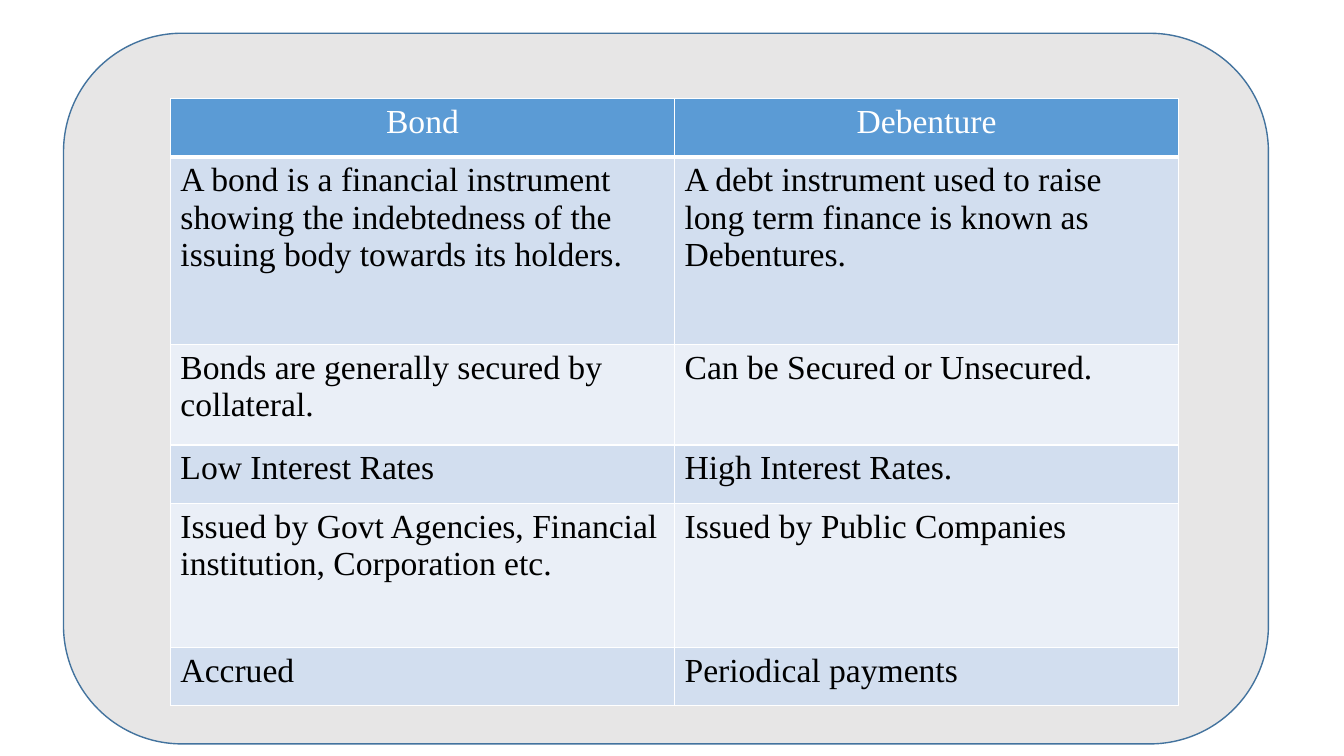
from dataclasses import dataclass

from lxml import etree
from pptx import Presentation
from pptx import util as u
from pptx.dml.color import RGBColor
from pptx.enum import shapes, text
from pptx.oxml import ns


@dataclass(frozen=True)
class Theme:
    font: str = "Times New Roman"
    size: int = 24
    panel: str = "E7E6E6"
    outline: str = "43739E"
    header: str = "5B9BD5"
    bands: tuple = ("D2DEEF", "EAEFF7")
    light: str = "FFFFFF"
    dark: str = "000000"
    rule: int = 1
    header_rule: int = 3


class SlideBuilder:
    """Draws on one slide; lengths are percentages of its size."""

    def __init__(self, presentation, theme):
        self.theme = theme
        self.width = presentation.slide_width
        self.height = presentation.slide_height
        self.slide = presentation.slides.add_slide(presentation.slide_layouts[6])

    def x(self, share):
        return round(self.width * share / 100)

    def y(self, share):
        return round(self.height * share / 100)

    def box(self, left, top, width, height):
        return self.x(left), self.y(top), self.x(width), self.y(height)

    def panel(self, *place):
        shape = self.slide.shapes.add_shape(
            shapes.MSO_SHAPE.ROUNDED_RECTANGLE, *self.box(*place))
        shape.shadow.inherit = False
        shape.fill.solid()
        shape.fill.fore_color.rgb = RGBColor.from_string(self.theme.panel)
        shape.line.color.rgb = RGBColor.from_string(self.theme.outline)
        shape.line.width = u.Pt(self.theme.rule)

    def border(self, cell, side, points):
        properties = cell._tc.get_or_add_tcPr()
        line = etree.SubElement(properties, ns.qn(f"a:ln{side}"), w=str(u.Pt(points)))
        fill = etree.SubElement(line, ns.qn("a:solidFill"))
        etree.SubElement(fill, ns.qn("a:srgbClr"), val=self.theme.light)

    def cell(self, cell, words, row):
        theme = self.theme
        is_header = row == 0
        for side in "LRTB":
            under_header = (row, side) in ((0, "B"), (1, "T"))
            self.border(cell, side, theme.header_rule if under_header else theme.rule)
        cell.fill.solid()
        cell.fill.fore_color.rgb = RGBColor.from_string(
            theme.header if is_header else theme.bands[(row - 1) % 2])
        cell.text = words
        paragraph = cell.text_frame.paragraphs[0]
        if is_header:
            paragraph.alignment = text.PP_ALIGN.CENTER
        font = paragraph.font
        font.name, font.size, font.bold = theme.font, u.Pt(theme.size), False
        font.color.rgb = RGBColor.from_string(theme.light if is_header else theme.dark)

    def table(self, left, top, width, heights, rows):
        columns = len(rows[0])
        table = self.slide.shapes.add_table(
            len(rows), columns, *self.box(left, top, width, sum(heights))).table
        for column in table.columns:
            column.width = self.x(width / columns)
        for row, (height, entries) in enumerate(zip(heights, rows)):
            table.rows[row].height = self.y(height)
            for column, words in enumerate(entries):
                self.cell(table.cell(row, column), words, row)


COMPARISON = [
    ("Bond", "Debenture"),
    ("A bond is a financial instrument showing the indebtedness of the "
     "issuing body towards its holders.",
     "A debt instrument used to raise long term finance is known as Debentures."),
    ("Bonds are generally secured by collateral.", "Can be Secured or Unsecured."),
    ("Low Interest Rates", "High Interest Rates."),
    ("Issued by Govt Agencies, Financial institution, Corporation etc.",
     "Issued by Public Companies"),
    ("Accrued", "Periodical payments"),
]


def main():
    presentation = Presentation()
    presentation.slide_width = u.Inches(13.33)
    presentation.slide_height = u.Inches(7.5)
    builder = SlideBuilder(presentation, Theme())

    # Rounded background panel
    builder.panel(4.73, 4.4, 89.65, 94)

    # Comparison table
    single_line = 7.7
    heights = [single_line, 24.8, 13.3, single_line, 19.1, single_line]
    builder.table(12.68, 13.07, 75.02, heights, COMPARISON)

    presentation.save("out.pptx")


if __name__ == "__main__":
    main()
